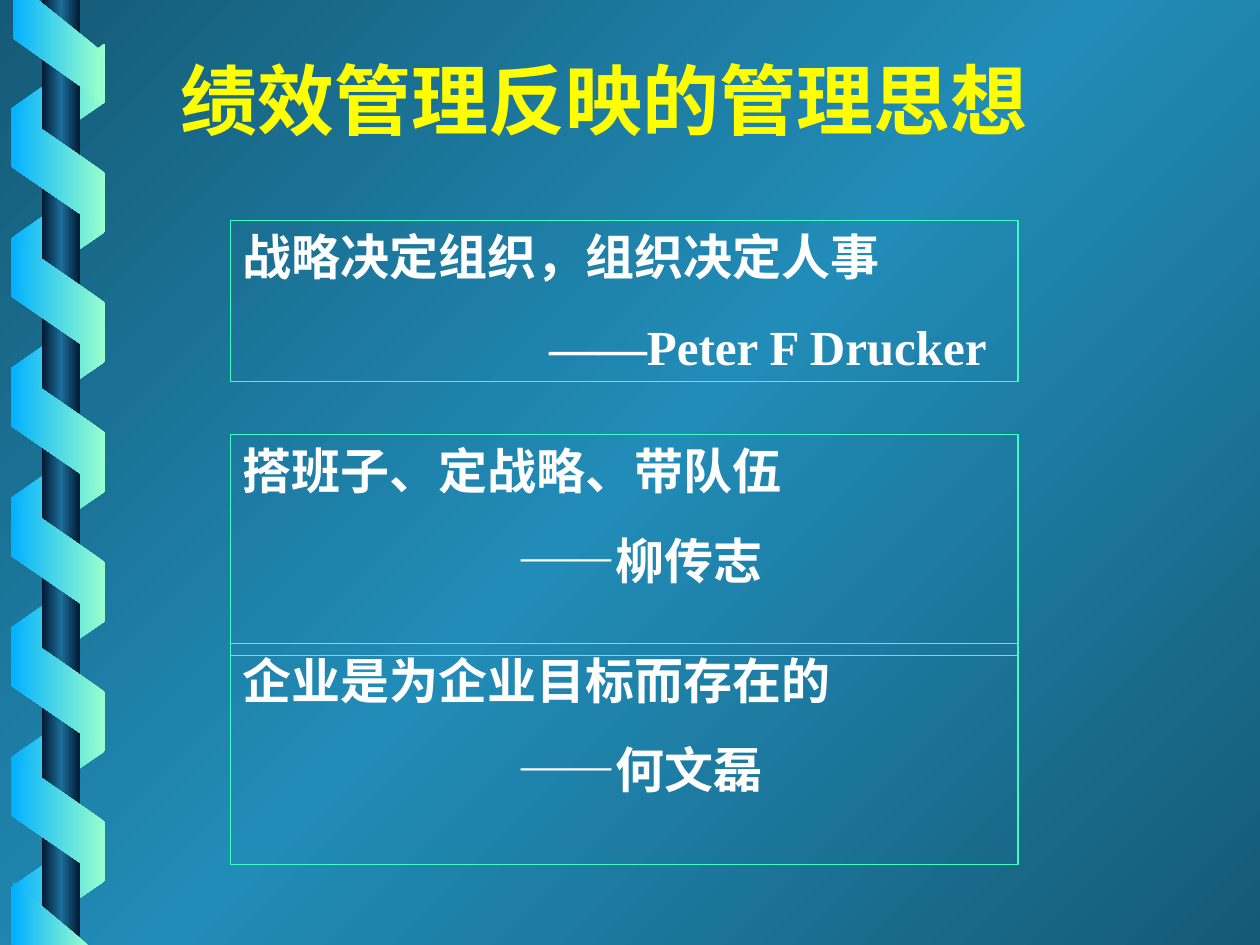
from typing import NamedTuple

from lxml.etree import SubElement
from pptx import Presentation
from pptx.dml.color import RGBColor
from pptx.enum.shapes import MSO_SHAPE as Preset
from pptx.enum.text import MSO_ANCHOR as Anchor, MSO_AUTO_SIZE as AutoSize, PP_ALIGN as Align
from pptx.oxml.ns import qn
from pptx.util import Inches, Pt

COLORS = {
    "edge": "155A76", "glow": "218CB7",
    "blue": "01B0FF", "mint": "99FFCC",
    "pole_dark": "001932", "pole_light": "1C6D9A",
    "title": "FFFF00", "text": "FFFFFF", "frame": "3BFFBE",
}
FONT = "Times New Roman"
COLUMNS, ROWS = 100, 75
CELL = Inches(10) // COLUMNS
PITCH = 10.3  # rows from one turn of the ribbon to the next


class Area(NamedTuple):
    """A place on the grid, in columns and rows."""
    left: float
    top: float
    width: float
    height: float

    def lengths(self) -> list[int]:
        return [round(value * CELL) for value in self]


class Strand(NamedTuple):
    first_top: float
    count: int
    rotation: int
    flipped: bool
    colors: tuple[str, ...]


class Quote(NamedTuple):
    area: Area
    saying: str
    author: str
    indent: float


BACK = Strand(4.6, 7, 90, True, ("blue", "mint"))
FRONT = Strand(9.7, 6, 270, False, ("mint", "blue"))
RIBBON_ENDS = [
    [(0.9, 0), (0.9, 2.9), (8.35, 8.1), (8.35, 3.5), (3.3, 0)],
    [(7.25, 74.9), (0.8, 70.5), (0.8, 75)],
]
QUOTES = [
    Quote(Area(18.3, 17.5, 62.5, 12.8), "战略决定组织，组织决定人事", "——Peter F Drucker", 24.3),
    Quote(Area(18.3, 34.5, 62.5, 17.5), "搭班子、定战略、带队伍", "——柳传志", 21.8),
    Quote(Area(18.3, 51.1, 62.5, 17.5), "企业是为企业目标而存在的", "——何文磊", 21.8),
]


def set_gradient(fill, element, names: tuple[str, ...], angle: int) -> None:
    """Fill with evenly spaced stops that stay fixed when the shape turns."""
    fill.gradient()
    gradient = next(element.iter(qn("a:gradFill")))
    gradient.set("rotWithShape", "0")
    stops = gradient.find(qn("a:gsLst"))
    stops.clear()
    for index, name in enumerate(names):
        stop = SubElement(stops, qn("a:gs"), pos=str(index * 100000 // (len(names) - 1)))
        SubElement(stop, qn("a:srgbClr"), val=COLORS[name])
    gradient.find(qn("a:lin")).set("ang", str(angle * 60000))


def paint(shape, names: tuple[str, ...]) -> None:
    shape.shadow.inherit = False
    shape.line.fill.background()
    set_gradient(shape.fill, shape.element, names, 180)


def draw_strand(slide, strand: Strand) -> None:
    for turn in range(strand.count):
        area = Area(-0.3, strand.first_top + turn * PITCH, 9.8, 7.5)
        piece = slide.shapes.add_shape(Preset.PARALLELOGRAM, *area.lengths())
        piece.adjustments[0] = 0.69
        piece.rotation = strand.rotation
        if strand.flipped:
            piece.element.spPr.find(qn("a:xfrm")).set("flipH", "1")
        paint(piece, strand.colors)


def draw_pole(slide) -> None:
    pole = slide.shapes.add_shape(Preset.RECTANGLE, *Area(3.35, 0, 3, ROWS).lengths())
    paint(pole, ("pole_dark", "pole_light", "pole_dark"))


def draw_ribbon_end(slide, points: list[tuple[float, float]]) -> None:
    builder = slide.shapes.build_freeform(*points[0], scale=CELL)
    builder.add_line_segments(points[1:], close=True)
    paint(builder.convert_to_shape(), FRONT.colors)


def write(para, text: str, *, size: int, color: str, before: float = 0, indent: float = 0) -> None:
    if indent:
        para._p.get_or_add_pPr().set("marL", str(round(indent * CELL)))
    para.alignment = Align.LEFT
    para.space_before = Pt(before)
    span = para.add_run()
    span.text = text
    span.font.name = FONT
    span.font.size = Pt(size)
    span.font.bold = True
    span.font.color.rgb = RGBColor.from_string(COLORS[color])


def draw_title(slide, text: str) -> None:
    title = slide.shapes.title
    title.left, title.top, title.width, title.height = Area(13.3, 3.3, 85, 8.7).lengths()
    frame = title.text_frame
    frame.auto_size = AutoSize.NONE
    frame.vertical_anchor = Anchor.BOTTOM
    write(frame.paragraphs[0], text, size=44, color="title")


def draw_quote(slide, quote: Quote) -> None:
    box = slide.shapes.add_shape(Preset.RECTANGLE, *quote.area.lengths())
    box.shadow.inherit = False
    box.fill.background()
    box.line.color.rgb = RGBColor.from_string(COLORS["frame"])
    box.line.width = Pt(0.75)
    frame = box.text_frame
    frame.word_wrap = True
    frame.vertical_anchor = Anchor.TOP
    write(frame.paragraphs[0], quote.saying, size=28, color="text")
    write(frame.add_paragraph(), quote.author, size=28, color="text",
          before=17.5, indent=quote.indent)


def main() -> None:
    deck = Presentation()
    deck.slide_width, deck.slide_height = COLUMNS * CELL, ROWS * CELL
    slide = deck.slides.add_slide(deck.slide_layouts.get_by_name("Title Only"))
    set_gradient(slide.background.fill, slide.element, ("edge", "glow", "edge"), 225)
    draw_strand(slide, BACK)
    draw_pole(slide)
    draw_strand(slide, FRONT)
    for points in RIBBON_ENDS:
        draw_ribbon_end(slide, points)
    draw_title(slide, "绩效管理反映的管理思想")
    for quote in QUOTES:
        draw_quote(slide, quote)
    deck.save("out.pptx")


if __name__ == "__main__":
    main()
